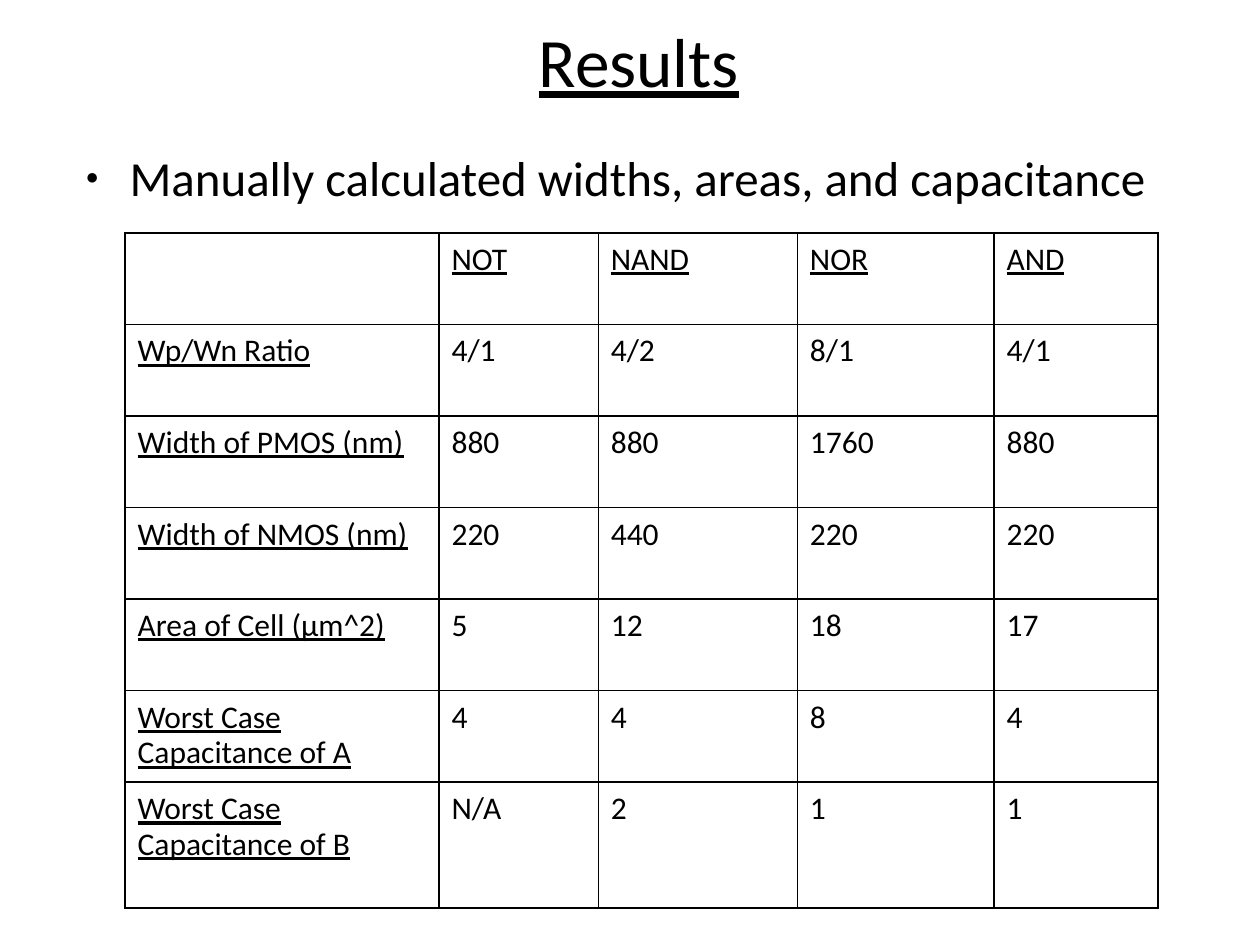
import dataclasses
import typing

import pptx
import pptx.dml.color
import pptx.enum.text
import pptx.oxml
import pptx.oxml.ns
import pptx.util

Pt = pptx.util.Pt
BLACK = "000000"
BULLET_COLUMNS = (179.4, 91, 113.8, 112.4, 93.6)
ROW_HEIGHTS = (52.3,) * 6 + (72,)
GATES = ("NOT", "NAND", "NOR", "AND")


@dataclasses.dataclass(frozen=True)
class Box:
    left: float
    top: float
    width: float
    height: float


@dataclasses.dataclass(frozen=True)
class Measure:
    label: str
    values: tuple[str, ...]


MEASURES = (
    Measure("", GATES),
    Measure("Wp/Wn Ratio", ("4/1", "4/2", "8/1", "4/1")),
    Measure("Width of PMOS (nm)", ("880", "880", "1760", "880")),
    Measure("Width of NMOS (nm)", ("220", "440", "220", "220")),
    Measure("Area of Cell (μm^2)", ("5", "12", "18", "17")),
    Measure("Worst Case Capacitance of A", ("4", "4", "8", "4")),
    Measure("Worst Case Capacitance of B", ("N/A", "2", "1", "1")),
)


def set_attributes(target: typing.Any, values: dict[str, typing.Any]) -> None:
    for name, value in values.items():
        setattr(target, name, value)


def color(value: str) -> pptx.dml.color.RGBColor:
    return pptx.dml.color.RGBColor.from_string(value)


def write(paragraph: typing.Any, text: str, size: float, underline: bool) -> None:
    run = paragraph.add_run()
    run.text = text
    set_attributes(run.font, {"name": "Calibri", "size": Pt(size), "underline": underline})
    run.font.color.rgb = color(BLACK)


def place(placeholder: typing.Any, box: Box) -> typing.Any:
    lengths = dataclasses.asdict(box).items()
    set_attributes(placeholder, {name: Pt(length) for name, length in lengths})
    set_attributes(placeholder.text_frame, {
        "word_wrap": True,
        "auto_size": pptx.enum.text.MSO_AUTO_SIZE.NONE,
    })
    return placeholder.text_frame.paragraphs[0]


def add_bullet(paragraph: typing.Any) -> None:
    properties = paragraph._p.get_or_add_pPr()
    set_attributes(paragraph, {"space_before": Pt(5.6)})
    properties.set("marL", str(Pt(33.8)))
    properties.set("indent", str(-Pt(25.2)))
    namespace = pptx.oxml.ns.nsdecls("a")
    for element in ('buSzPct {} val="45000"', 'buChar {} char="●"'):
        properties.append(pptx.oxml.parse_xml(f"<a:{element.format(namespace)}/>"))


def add_borders(cell: typing.Any) -> None:
    properties = cell._tc.get_or_add_tcPr()
    for side in ("lnL", "lnR", "lnT", "lnB"):
        properties.append(pptx.oxml.parse_xml(
            f'<a:{side} {pptx.oxml.ns.nsdecls("a")} w="{Pt(1)}">'
            f'<a:solidFill><a:srgbClr val="{BLACK}"/></a:solidFill></a:{side}>'
        ))


def fill_cell(cell: typing.Any, text: str, underline: bool) -> None:
    set_attributes(cell, {
        "margin_left": Pt(7.2),
        "margin_right": Pt(7.2),
        "margin_top": Pt(5),
        "margin_bottom": Pt(3.6),
    })
    add_borders(cell)
    cell.fill.background()
    paragraph = cell.text_frame.paragraphs[0]
    paragraph.line_spacing = 0.93
    if text:
        write(paragraph, text, 18, underline)


def add_results(slide: typing.Any, box: Box, measures: tuple[Measure, ...]) -> None:
    lengths = (Pt(length) for length in dataclasses.astuple(box))
    results = slide.shapes.add_table(len(measures), len(BULLET_COLUMNS), *lengths).table
    set_attributes(results, {"first_row": False, "horz_banding": False})
    for column, width in zip(results.columns, BULLET_COLUMNS):
        column.width = Pt(width)
    for row, height in zip(results.rows, ROW_HEIGHTS):
        row.height = Pt(height)
    for row_index, measure in enumerate(measures):
        for column_index, text in enumerate((measure.label, *measure.values)):
            heading = row_index == 0 or column_index == 0
            fill_cell(results.cell(row_index, column_index), text, heading)


def main() -> None:
    presentation = pptx.Presentation()
    set_attributes(presentation, {"slide_width": Pt(720), "slide_height": Pt(540)})
    slide = presentation.slides.add_slide(presentation.slide_layouts[1])

    heading = place(slide.shapes.title, Box(232.6, 5.8, 265, 56.9))
    heading.alignment = pptx.enum.text.PP_ALIGN.CENTER
    write(heading, "Results", 39.6, True)

    summary = place(slide.placeholders[1], Box(33.1, 80.6, 714.2, 385.9))
    add_bullet(summary)
    write(summary, "Manually calculated widths, areas, and capacitance", 28, False)

    results_box = Box(71.5, 133.2, sum(BULLET_COLUMNS), sum(ROW_HEIGHTS))
    add_results(slide, results_box, MEASURES)
    presentation.save("out.pptx")


if __name__ == "__main__":
    main()
